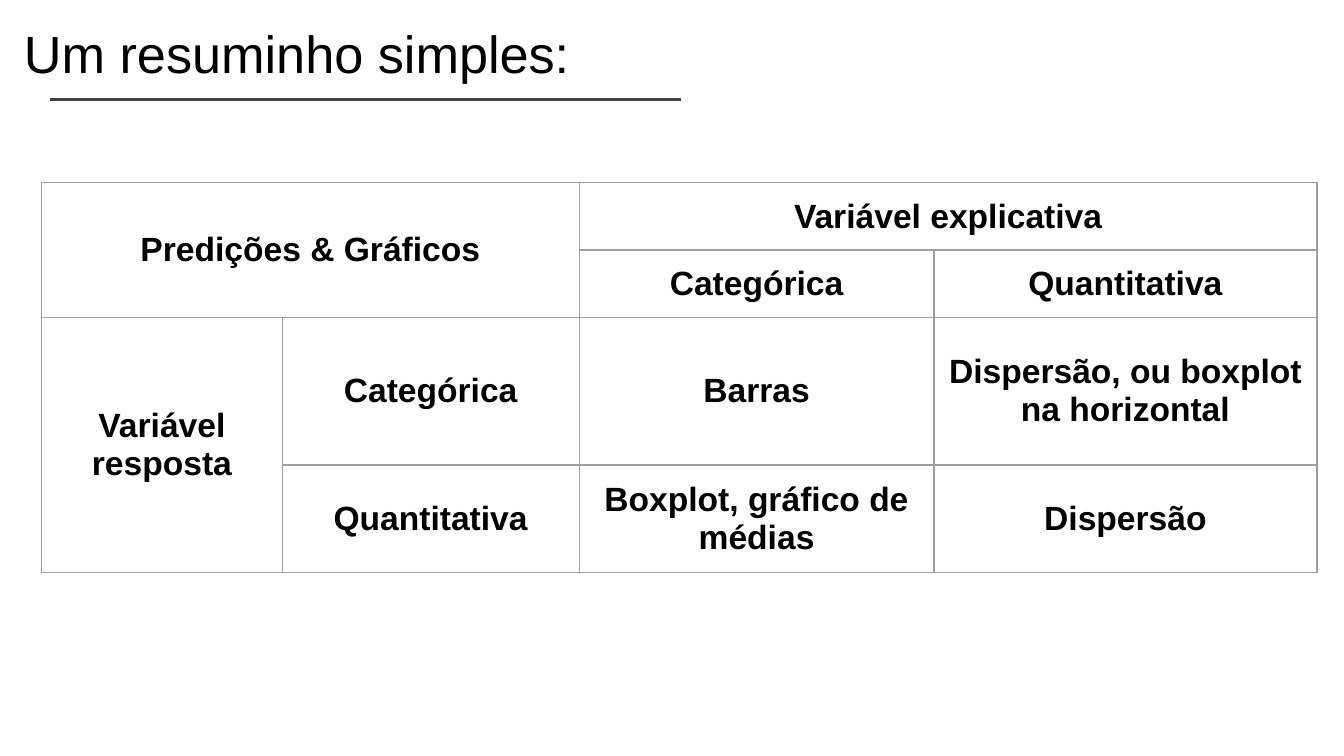
import pptx
import pptx.dml.color
import pptx.enum.shapes
import pptx.enum.text
import pptx.oxml
import pptx.oxml.ns
import pptx.util

Inches = pptx.util.Inches
Pt = pptx.util.Pt
RGB = pptx.dml.color.RGBColor.from_string
TOP = pptx.enum.text.MSO_ANCHOR.TOP
MIDDLE = pptx.enum.text.MSO_ANCHOR.MIDDLE
CENTER = pptx.enum.text.PP_ALIGN.CENTER

HEADING = "Um resuminho simples:"
SUMMARY = [
    ["Predições & Gráficos", "", "Variável explicativa", ""],
    ["", "", "Categórica", "Quantitativa"],
    ["Variável resposta", "Categórica", "Barras", "Dispersão, ou boxplot na horizontal"],
    ["", "Quantitativa", "Boxplot, gráfico de médias", "Dispersão"],
]
MERGES = [((0, 0), (1, 1)), ((0, 2), (0, 3)), ((2, 0), (3, 0))]
COLUMN_WIDTHS = [1.79, 2.21, 2.64, 2.85]
ROW_HEIGHTS = [0.5, 0.5, 1.1, 0.8]
SLIDE_WIDTH = Inches(10)
SLIDE_HEIGHT = SLIDE_WIDTH * 9 // 16

THEME = {
    "text": "000000",
    "rule": "434343",
    "border": "9E9E9E",
    "rule_width": 1.5,
    "border_width": 0.75,
    "heading": {"name": "Arial", "size": Pt(28), "bold": False},
    "cell": {"name": "Arial", "size": Pt(18), "bold": True},
}


def apply(target, values):
    for key, value in values.items():
        setattr(target, key, value)


def write(paragraph, text, style):
    run = paragraph.add_run()
    run.text = text
    apply(run.font, THEME[style])
    run.font.color.rgb = RGB(THEME["text"])


def add_borders(cell):
    properties = cell._tc.get_or_add_tcPr()
    for side in ("lnL", "lnR", "lnT", "lnB"):
        properties.append(pptx.oxml.parse_xml(
            f'<a:{side} {pptx.oxml.ns.nsdecls("a")} w="{Pt(THEME["border_width"])}">'
            f'<a:solidFill><a:srgbClr val="{THEME["border"]}"/></a:solidFill></a:{side}>'
        ))


def add_heading(slide):
    rule = slide.shapes.add_connector(
        pptx.enum.shapes.MSO_CONNECTOR.STRAIGHT,
        Inches(0.37), Inches(0.74), Inches(5.07), Inches(0.74),
    )
    rule.line.color.rgb = RGB(THEME["rule"])
    rule.line.width = Pt(THEME["rule_width"])
    rule._element.spPr.append(pptx.oxml.parse_xml(
        f'<a:effectLst {pptx.oxml.ns.nsdecls("a")}/>'
    ))
    heading = slide.shapes.add_textbox(Inches(0.08), Inches(0.06), Inches(7.99), Inches(0.72))
    margins = {f"margin_{side}": Inches(0.1) for side in ("left", "right", "top", "bottom")}
    apply(heading.text_frame, {"word_wrap": True, "vertical_anchor": TOP, **margins})
    write(heading.text_frame.paragraphs[0], HEADING, "heading")


def add_summary(slide):
    summary = slide.shapes.add_table(
        len(ROW_HEIGHTS), len(COLUMN_WIDTHS), Inches(0.31), Inches(1.36),
        Inches(sum(COLUMN_WIDTHS)), Inches(sum(ROW_HEIGHTS)),
    ).table
    apply(summary, {"first_row": False, "horz_banding": False})
    for column, width in zip(summary.columns, COLUMN_WIDTHS):
        column.width = Inches(width)
    for row, height in zip(summary.rows, ROW_HEIGHTS):
        row.height = Inches(height)
    for first, last in MERGES:
        summary.cell(*first).merge(summary.cell(*last))
    cell_format = {
        "vertical_anchor": MIDDLE,
        "margin_left": Inches(0.1), "margin_right": Inches(0.1),
        "margin_top": Inches(0.05), "margin_bottom": Inches(0.05),
    }
    for row, labels in enumerate(SUMMARY):
        for column, label in enumerate(labels):
            cell = summary.cell(row, column)
            apply(cell, cell_format)
            add_borders(cell)
            cell.fill.background()
            if label:
                paragraph = cell.text_frame.paragraphs[0]
                paragraph.alignment = CENTER
                write(paragraph, label, "cell")


def main():
    deck = pptx.Presentation()
    apply(deck, {"slide_width": SLIDE_WIDTH, "slide_height": SLIDE_HEIGHT})
    slide = deck.slides.add_slide(deck.slide_layouts[6])
    add_heading(slide)
    add_summary(slide)
    deck.save("out.pptx")


if __name__ == "__main__":
    main()
